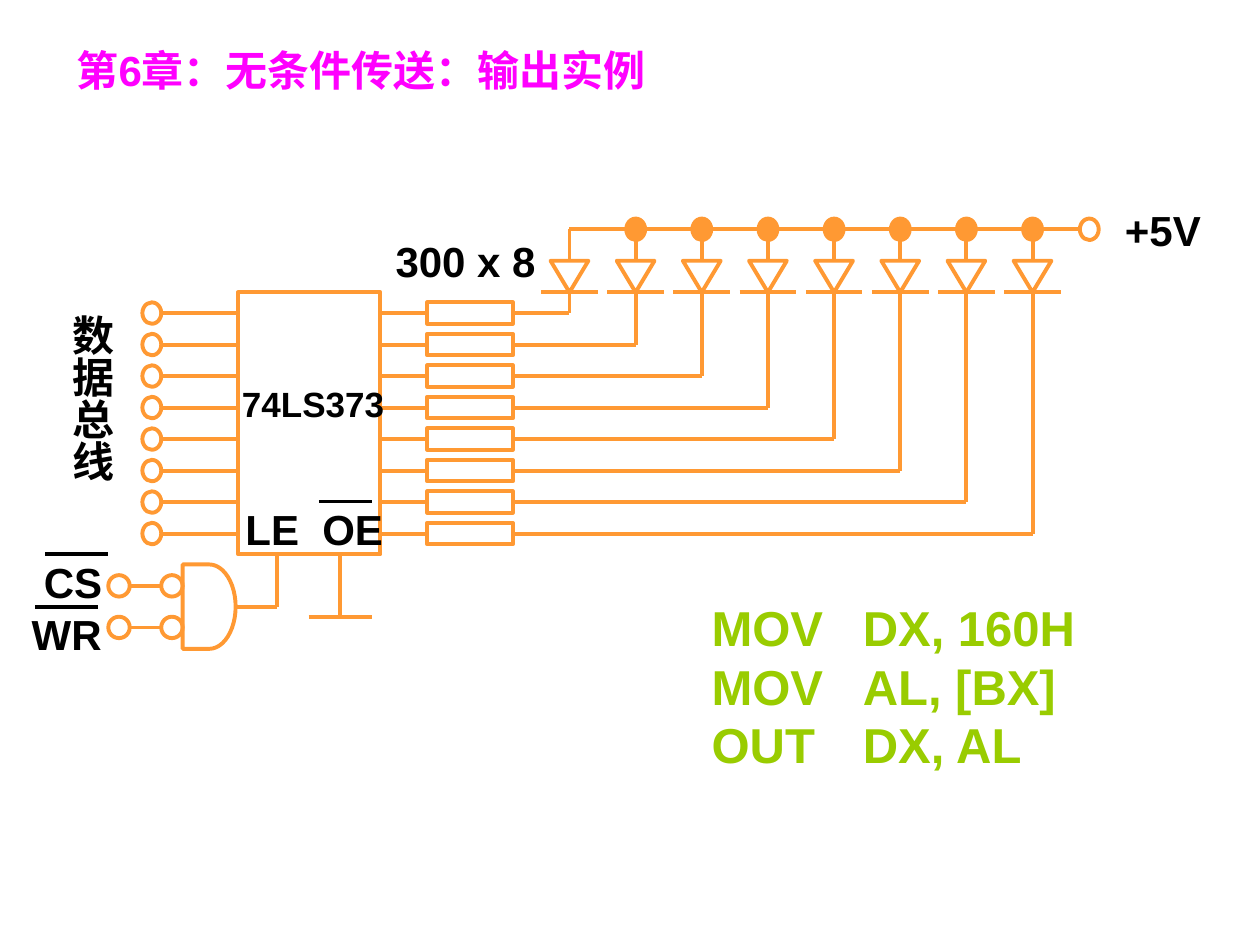
"""Build a slide with the latch circuit that drives eight LEDs and its output code."""
from dataclasses import dataclass

from lxml import etree
from pptx import Presentation
from pptx.dml.color import RGBColor
from pptx.enum.shapes import MSO_CONNECTOR, MSO_SHAPE as Kind
from pptx.enum.text import MSO_ANCHOR as Anchor, PP_ALIGN as Align
from pptx.oxml.ns import qn
from pptx.util import Inches, Pt


@dataclass(frozen=True)
class Theme:
    font: str = "Arial"
    title: RGBColor = RGBColor(0xFF, 0x00, 0xFF)
    code: RGBColor = RGBColor(0x99, 0xCC, 0x00)
    circuit: RGBColor = RGBColor(0xFF, 0x99, 0x33)
    ink: RGBColor = RGBColor(0x00, 0x00, 0x00)
    code_size: int = 28
    text_size: int = 24
    chip_size: int = 20
    line: float = 2.25


theme = Theme()
deck = Presentation()
deck.slide_width, deck.slide_height = Inches(10), Inches(7.5)
slide = deck.slides.add_slide(deck.slide_layouts[6])


def wire(x1, y1, x2, y2, color=theme.circuit):
    line = slide.shapes.add_connector(
        MSO_CONNECTOR.STRAIGHT, Inches(x1), Inches(y1), Inches(x2), Inches(y2))
    line.line.color.rgb = color
    line.line.width = Pt(theme.line)
    etree.SubElement(line._element.spPr, qn("a:effectLst"))
    return line


def part(kind, left, top, width, height, filled=False):
    shape = slide.shapes.add_shape(
        kind, Inches(left), Inches(top), Inches(width), Inches(height))
    shape.shadow.inherit = False
    shape.line.color.rgb = theme.circuit
    shape.line.width = Pt(theme.line)
    if filled:
        shape.fill.solid()
        shape.fill.fore_color.rgb = theme.circuit
    else:
        shape.fill.background()
    return shape


chip_left, chip_right, chip_top, chip_bottom = 1.89, 3.02, 2.32, 4.4
rail_y, diode_top, diode_bottom = 1.82, 2.07, 2.32
node_w, node_h = 0.15, 0.17

part(Kind.RECTANGLE, chip_left, chip_top, chip_right - chip_left, chip_bottom - chip_top)
wire(8.57, rail_y, 4.52, rail_y)
part(Kind.OVAL, 8.57, rail_y - node_h / 2, node_w, node_h)

for bit in range(8):
    row_top = 2.4 + 0.25 * bit
    row_y = row_top + node_h / 2
    led_x = 4.52 + 0.525 * bit

    part(Kind.OVAL, 1.13, row_top, node_w, node_h)
    wire(1.28, row_y, chip_left, row_y)
    resistor = part(Kind.RECTANGLE, 3.39, row_top, 0.68, node_h)
    wire(chip_right, row_y, 3.39, row_y).end_connect(resistor, 1)
    wire(4.07, row_y, led_x, row_y).begin_connect(resistor, 3)

    wire(led_x, diode_bottom, led_x, row_y)
    diode = part(Kind.ISOSCELES_TRIANGLE, led_x - 0.15, diode_top, 0.3, 0.25)
    diode._element.spPr.xfrm.set("flipV", "1")
    wire(led_x - 0.225, diode_bottom, led_x + 0.225, diode_bottom)
    wire(led_x, diode_top, led_x, rail_y)
    if bit:
        part(Kind.OVAL, led_x - node_w / 2, rail_y - node_h / 2, node_w, node_h, filled=True)

part(Kind.FLOWCHART_DELAY, 1.45, 4.48, 0.42, 0.67)
wire(2.2, chip_bottom, 2.2, 4.82)
wire(1.86, 4.82, 2.2, 4.82)
for gate_y in (4.65, 4.98):
    for circle_left in (0.86, 1.28):
        part(Kind.FLOWCHART_CONNECTOR, circle_left, gate_y - 0.085, 0.17, 0.17)
    wire(1.03, gate_y, 1.28, gate_y)

wire(2.7, chip_bottom, 2.7, 4.9)
wire(2.45, 4.9, 2.95, 4.9)

for bar_left, bar_right, bar_y in ((2.53, 2.95, 3.98), (0.36, 0.86, 4.4), (0.28, 0.78, 4.82)):
    wire(bar_left, bar_y, bar_right, bar_y, theme.ink)

code = "MOV\tDX, 160H\nMOV\tAL, [BX]\nOUT\tDX, AL"
labels = [
    ("第6章：无条件传送：输出实例", 0.51, 0.28, 9, 0.55, theme.text_size, theme.title, Align.LEFT, 0),
    (code, 5.55, 4.69, 3.74, 1.59, theme.code_size, theme.code, Align.LEFT, 1.2),
    ("+5V", 8.78, 1.57, 0.9, 0.5, theme.text_size, theme.ink, Align.CENTER, 0),
    ("74LS373", 1.77, 2.98, 1.43, 0.44, theme.chip_size, theme.ink, Align.CENTER, 0),
    ("300 x 8", 2.99, 1.82, 1.41, 0.5, theme.text_size, theme.ink, Align.CENTER, 0),
    ("LE\tOE", 1.85, 3.95, 1.4, 0.5, theme.text_size, theme.ink, Align.LEFT, 0.61),
    ("数据总线", 0.43, 2.4, 0.6, 1.64, theme.text_size, theme.ink, Align.CENTER, 0),
    ("CS", 0.13, 4.37, 0.9, 0.5, theme.text_size, theme.ink, Align.CENTER, 0),
    ("WR", 0.03, 4.78, 1, 0.5, theme.text_size, theme.ink, Align.CENTER, 0),
]
for text, left, top, width, height, size, color, align, tab in labels:
    frame = slide.shapes.add_textbox(
        Inches(left), Inches(top), Inches(width), Inches(height)).text_frame
    frame.text = text
    frame.word_wrap = align == Align.LEFT
    frame.vertical_anchor = Anchor.TOP if text == code else Anchor.MIDDLE
    if text == "数据总线":
        frame._txBody.bodyPr.set("vert", "eaVert")
    for paragraph in frame.paragraphs:
        paragraph.alignment = align
        if tab:
            stops = etree.SubElement(paragraph._p.get_or_add_pPr(), qn("a:tabLst"))
            etree.SubElement(stops, qn("a:tab"), pos=str(Inches(tab)), algn="l")
        paragraph.font.name = theme.font
        paragraph.font.size = Pt(size)
        paragraph.font.bold = True
        paragraph.font.color.rgb = color

deck.save("out.pptx")
